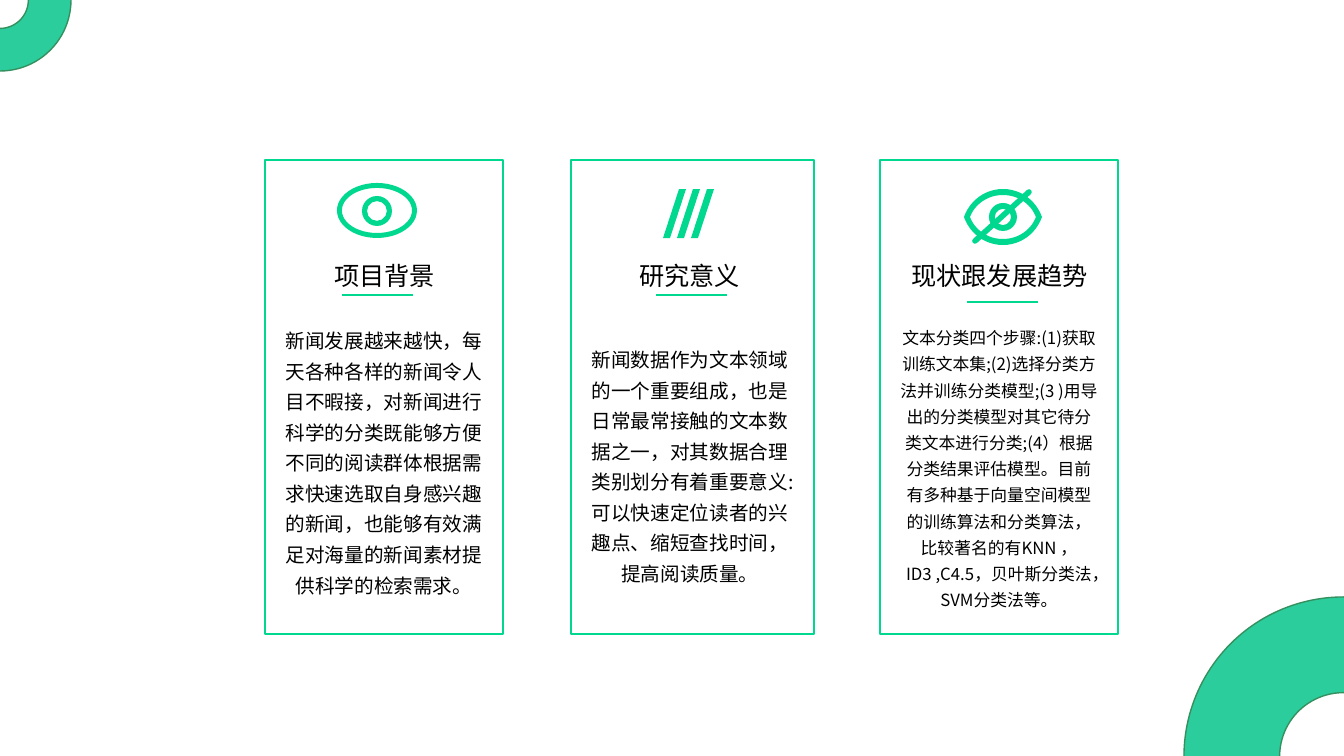
from lxml.etree import SubElement
from pptx import Presentation
from pptx.dml.color import RGBColor
from pptx.enum.shapes import MSO_CONNECTOR, MSO_SHAPE
from pptx.enum.text import MSO_AUTO_SIZE, PP_ALIGN
from pptx.oxml.ns import qn
from pptx.util import Emu, Pt

COLOURS = {"green": "00D78F", "ring": "00C389", "edge": "35905F", "card": "FFFFFF", "text": "000000"}
FONT = "Noto Sans CJK SC"

CARDS = [
    dict(left=265, width=238, heading="项目背景", heading_left=324, heading_width=121,
         rule=(342, 295), body_left=274, body_top=317, body_height=287, size=14,
         body="新闻发展越来越快，每天各种各样的新闻令人目不暇接，对新闻进行科学的分类既能够方便"
              "不同的阅读群体根据需求快速选取自身感兴趣的新闻，也能够有效满足对海量的新闻素材提供科学的检索需求。"),
    dict(left=571, width=243, heading="研究意义", heading_left=629, heading_width=121,
         rule=(656, 295), body_left=580, body_top=336, body_height=257, size=14,
         body="新闻数据作为文本领域的一个重要组成，也是日常最常接触的文本数据之一，对其数据合理"
              "类别划分有着重要意义:可以快速定位读者的兴趣点、缩短查找时间，提高阅读质量。"),
    dict(left=880, width=238, heading="现状跟发展趋势", heading_left=901, heading_width=197,
         rule=(967, 302), body_left=889, body_top=317, body_height=300, size=12,
         body="文本分类四个步骤:(1)获取训练文本集;(2)选择分类方法并训练分类模型;"
              "(3 )用导出的分类模型对其它待分类文本进行分类;(4）根据分类结果评估模型。"
              "目前有多种基于向量空间模型的训练算法和分类算法，比较著名的有KNN ，ID3 ,C4.5，"
              "贝叶斯分类法，SVM分类法等。"),
]


def px(length):
    return Emu(round(length * 914400 / 100.8))


def colour(name):
    return RGBColor.from_string(COLOURS[name])


def write(para, text, size, spacing=None):
    para.alignment = PP_ALIGN.CENTER
    para.line_spacing = spacing
    span = para.add_run()
    span.text = text
    span.font.name = FONT
    span.font.size = Pt(size)
    span.font.color.rgb = colour("text")
    SubElement(span.font._element, qn("a:ea")).set("typeface", FONT)


def almond(centre_x, centre_y, half_width, half_height):
    controls = [(-1, 0), (-0.85, -0.59), (-0.46, -1), (0, -1)]
    quarter = []
    for step in range(13):
        t = step / 12
        weights = [(1 - t) ** 3, 3 * t * (1 - t) ** 2, 3 * t * t * (1 - t), t ** 3]
        quarter.append([sum(w * point[axis] for w, point in zip(weights, controls)) for axis in (0, 1)])
    upper = quarter + [(-x, y) for x, y in quarter[-2::-1]]
    outline = upper + [(x, -y) for x, y in upper[-2:0:-1]]
    return [(centre_x + x * half_width, centre_y + y * half_height) for x, y in outline]


class SlideBuilder:
    """Draws styled elements on one page, with lengths in px."""

    def __init__(self, page):
        self.shapes = page.shapes

    def paint(self, shape, fill, line=None, weight=1, opacity=100):
        shape.shadow.inherit = False
        shape.fill.solid()
        shape.fill.fore_color.rgb = colour(fill)
        if opacity < 100:
            tint = shape.fill._xPr.find(qn("a:solidFill"))[0]
            SubElement(tint, qn("a:alpha")).set("val", str(opacity * 1000))
        if line:
            shape.line.color.rgb = colour(line)
            shape.line.width = Pt(weight)
        else:
            shape.line.fill.background()

    def preset(self, kind, left, top, width, height, adjust=None, **style):
        shape = self.shapes.add_shape(kind, px(left), px(top), px(width), px(height))
        if adjust is not None:
            shape.adjustments[0] = adjust
        self.paint(shape, **style)

    def outline(self, contours, **style):
        builder = None
        for contour in contours:
            points = [(px(x), px(y)) for x, y in contour]
            if builder is None:
                builder = self.shapes.build_freeform(*points[0], scale=1.0)
            else:
                builder.move_to(*points[0])
            builder.add_line_segments(points[1:], close=True)
        self.paint(builder.convert_to_shape(), **style)

    def line(self, start, end, weight=2, cap="flat"):
        ends = [px(value) for value in (*start, *end)]
        connector = self.shapes.add_connector(MSO_CONNECTOR.STRAIGHT, *ends)
        connector.line.color.rgb = colour("green")
        connector.line.width = Pt(weight)
        properties = connector._element.spPr
        properties.find(qn("a:ln")).set("cap", cap)
        SubElement(properties, qn("a:effectLst"))

    def text(self, text, left, top, width, height, size, wrap=True, spacing=None):
        box = self.shapes.add_textbox(px(left), px(top), px(width), px(height))
        box.text_frame.word_wrap = wrap
        box.text_frame.auto_size = MSO_AUTO_SIZE.SHAPE_TO_FIT_TEXT
        write(box.text_frame.paragraphs[0], text, size, spacing)

    def card(self, card):
        self.preset(MSO_SHAPE.RECTANGLE, card["left"], 160, card["width"], 474,
                    fill="card", line="green", weight=2)
        x, y = card["rule"]
        self.line((x, y), (x + 71, y))
        self.text(card["heading"], card["heading_left"], 255, card["heading_width"], 40,
                  size=18, wrap=False)
        self.text(card["body"], card["body_left"], card["body_top"], 220, card["body_height"],
                  size=card["size"], spacing=1.3)

    def open_eye(self):
        self.preset(MSO_SHAPE.DONUT, 337, 183, 80, 55, adjust=0.09, fill="green")
        self.preset(MSO_SHAPE.DONUT, 362, 196, 30, 30, adjust=0.17, fill="green")

    def slashes(self):
        self.outline([[(x + 16, 189), (x, 238), (x + 7, 238), (x + 23, 189)]
                      for x in range(663, 693, 14)], fill="green")

    def crossed_eye(self):
        self.outline([almond(1003, 217, 39, 28), almond(1003, 217, 33, 22)[::-1]], fill="green")
        self.preset(MSO_SHAPE.DONUT, 989, 203, 28, 28, adjust=0.21, fill="green")
        self.line((975, 241), (1029, 192), weight=4, cap="rnd")


def main():
    deck = Presentation()
    deck.slide_width, deck.slide_height = px(1344), px(756)
    slide = SlideBuilder(deck.slides.add_slide(deck.slide_layouts[6]))
    for left, top, size in [(-71, -71, 142), (1184, 597, 319)]:
        slide.preset(MSO_SHAPE.DONUT, left, top, size, size, adjust=0.3,
                     fill="ring", line="edge", opacity=83)
    for card in CARDS:
        slide.card(card)
    slide.open_eye()
    slide.slashes()
    slide.crossed_eye()
    deck.save("out.pptx")


if __name__ == "__main__":
    main()
